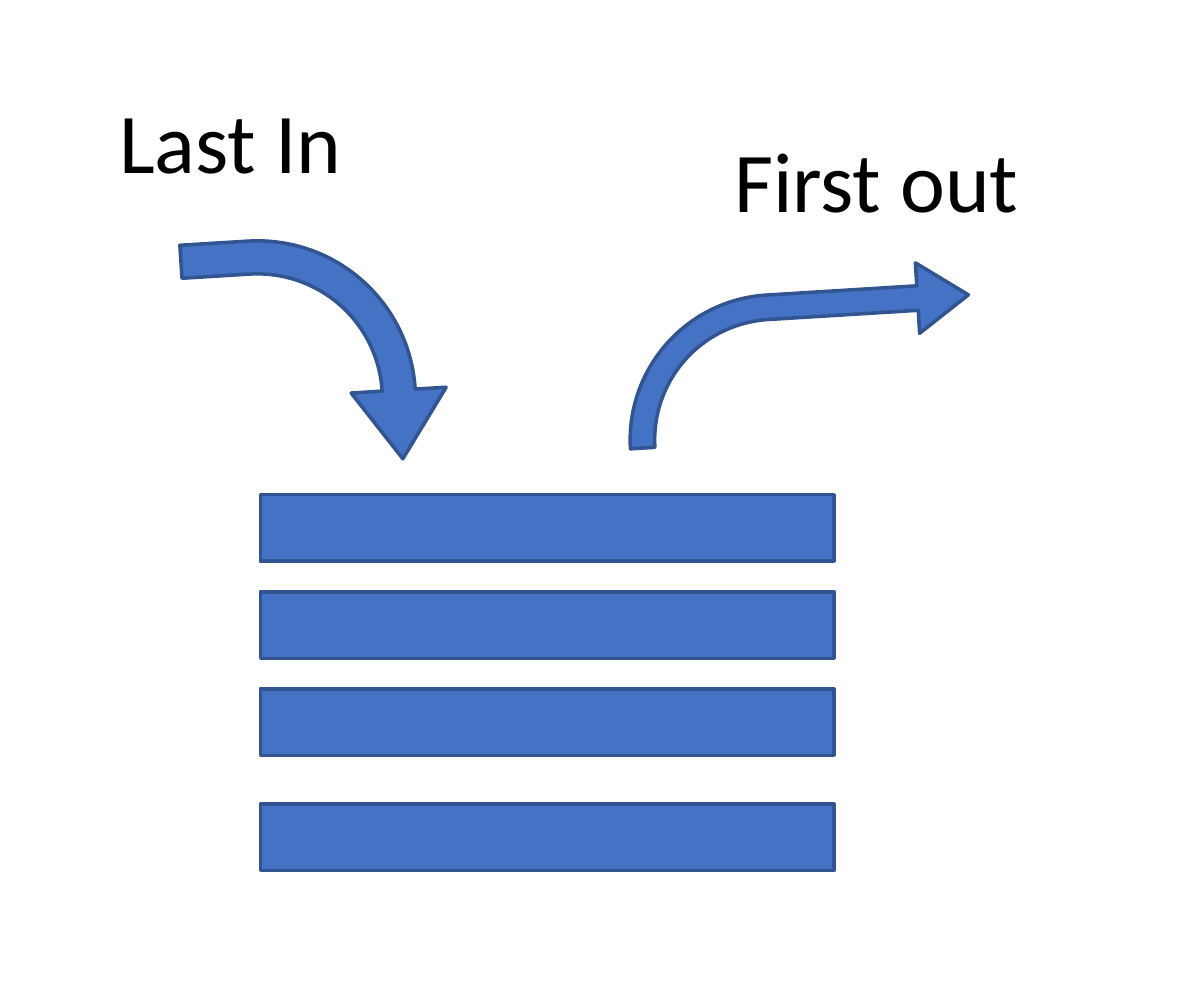
from pptx import Presentation
from pptx.dml.color import RGBColor
from pptx.enum.shapes import MSO_SHAPE
from pptx.enum.text import MSO_AUTO_SIZE
from pptx.util import Pt

BLUE = RGBColor(0x44, 0x72, 0xC4)
EDGE = RGBColor(0x32, 0x54, 0x91)
BLACK = RGBColor(0, 0, 0)

prs = Presentation()
prs.slide_width, prs.slide_height = Pt(340), Pt(283.5)
slide = prs.slides.add_slide(prs.slide_layouts[6])
diagram = slide.shapes.add_group_shape().shapes


def add_blue(kind, *box):
    sp = diagram.add_shape(kind, *map(Pt, box))
    sp.shadow.inherit = False
    sp.fill.solid()
    sp.fill.fore_color.rgb = BLUE
    sp.line.color.rgb = EDGE
    sp.line.width = Pt(1)
    return sp


# Stack items, the bottom one set apart
for top in (139.7, 167.1, 194.5, 227):
    add_blue(MSO_SHAPE.RECTANGLE, 73.5, top, 162, 18.8)

# Arrows into and out of the stack
for box, rotation in (
    ((57, 62.7, 64, 72.6), 86.5),
    ((176.5, 76.3, 97.9, 47.5), 356.5),
):
    sp = add_blue(MSO_SHAPE.BENT_ARROW, *box)
    sp.rotation = rotation
    for i, value in enumerate((0.146, 0.21, 0.303, 0.863)):
        sp.adjustments[i] = value

# Labels
font_format = {"name": "Calibri", "size": Pt(24)}
for text, left, top in (("Last In", 26.6, 21.6), ("First out", 200.2, 32.4)):
    sp = diagram.add_textbox(Pt(left), Pt(top), Pt(124.6), Pt(36))
    tf = sp.text_frame
    tf.word_wrap = True
    tf.auto_size = MSO_AUTO_SIZE.SHAPE_TO_FIT_TEXT
    r = tf.paragraphs[0].add_run()
    r.text = text
    r.font.color.rgb = BLACK
    for name, value in font_format.items():
        setattr(r.font, name, value)

prs.save("out.pptx")
